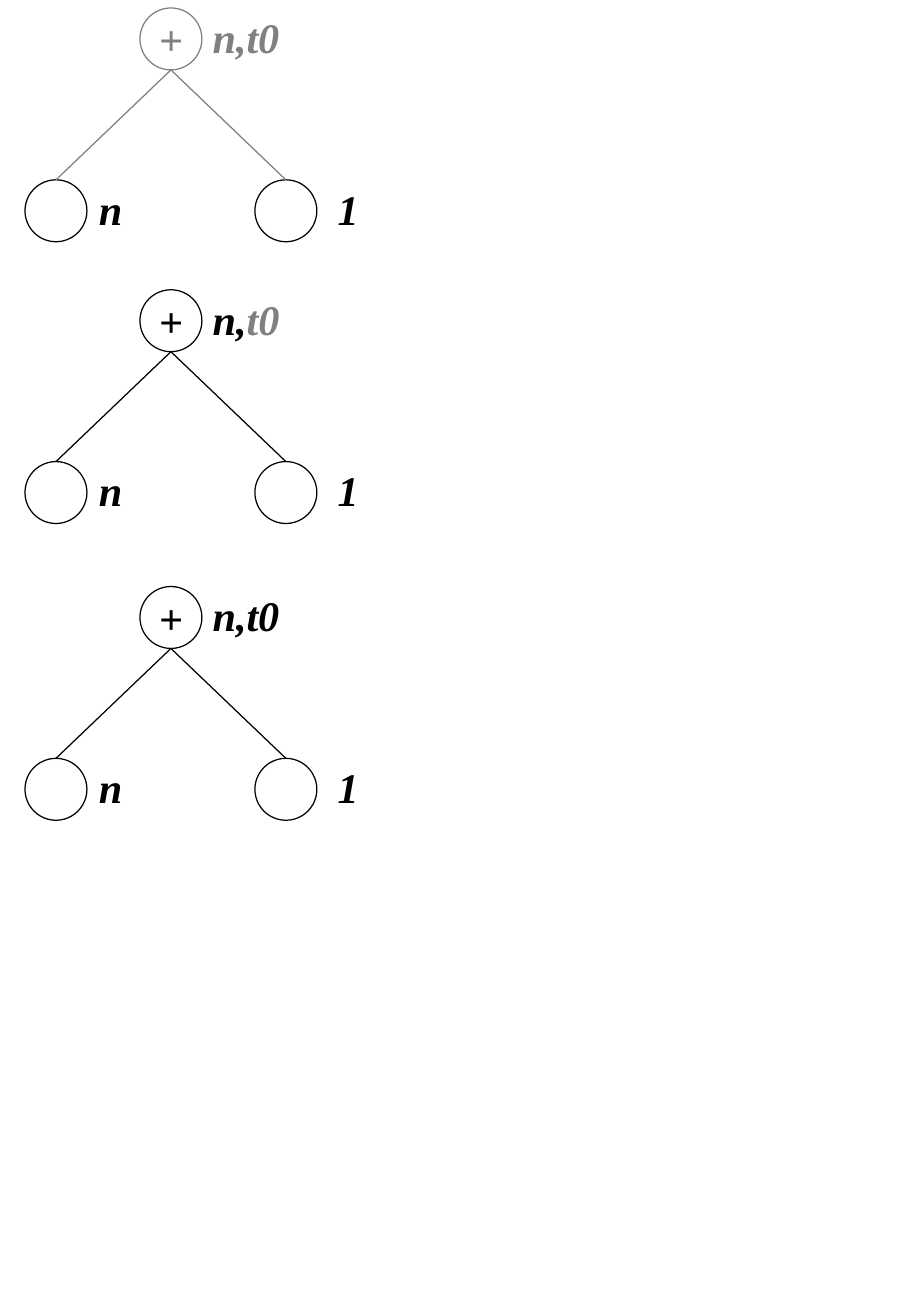
from lxml import etree
from pptx import Presentation, util as u
from pptx.dml.color import RGBColor
from pptx.enum import shapes, text
from pptx.oxml.ns import qn

PX = 7526  # EMU per px
COLORS = {"done": "000000", "pending": "808080"}
NODE = 62
LABEL_HEIGHT = 57
CHILD_DROP = 172
ROOT_LEFT = 140

deck = Presentation()
deck.slide_width, deck.slide_height = u.Inches(7.5), u.Inches(10.84)
page = deck.slides.add_slide(deck.slide_layouts[6])


def add_box(kind, left, top, width, height, spans=(), outline=None, inset=13):
    """Add an unfilled shape; spans holds (wording, state) pairs."""
    box = page.shapes.add_shape(kind, left * PX, top * PX, width * PX, height * PX)
    box.shadow.inherit = False
    box.fill.background()
    if outline:
        box.line.color.rgb = RGBColor.from_string(COLORS[outline])
        box.line.width = u.Pt(0.75)
    else:
        box.line.fill.background()
    frame = box.text_frame
    frame.word_wrap = False
    frame.vertical_anchor = text.MSO_ANCHOR.MIDDLE
    frame.margin_left = frame.margin_right = inset * PX
    frame.margin_top = frame.margin_bottom = 6 * PX
    para = frame.paragraphs[0]
    para.alignment = text.PP_ALIGN.CENTER if outline else text.PP_ALIGN.LEFT
    para.font.name, para.font.size = "Times New Roman", u.Pt(25)
    para.font.bold = para.font.italic = True
    for wording, state in spans:
        span = para.add_run()
        span.text = wording
        span.font.color.rgb = RGBColor.from_string(COLORS[state])


OVAL = shapes.MSO_SHAPE.OVAL
LABEL = shapes.MSO_SHAPE.ROUNDED_RECTANGLE

# Tree stages: top, state of the root and edges, root label
stages = [
    (8, "pending", [("n,t0", "pending")]),
    (290, "done", [("n,", "done"), ("t0", "pending")]),
    (587, "done", [("n,t0", "done")]),
]
# Leaves: node left, label left, label
leaves = [(25, 83, "n"), (255, 322, "1")]

for top, state, root_label in stages:
    leaf_top = top + CHILD_DROP

    # Leaf nodes and their labels
    for node_left, label_left, wording in leaves:
        add_box(LABEL, label_left, leaf_top, 67, LABEL_HEIGHT, [(wording, "done")])
        add_box(OVAL, node_left, leaf_top, NODE, NODE, outline="done")

    # Root node and its label
    add_box(OVAL, ROOT_LEFT, top, NODE, NODE, [("+", state)], outline=state, inset=12)
    add_box(LABEL, 197, top, 119, LABEL_HEIGHT, root_label)

    # Edges from the root's foot to the leaf tops
    for node_left, *_ in leaves:
        edge = page.shapes.add_connector(
            shapes.MSO_CONNECTOR.STRAIGHT,
            (ROOT_LEFT + NODE // 2) * PX, (top + NODE) * PX,
            (node_left + NODE // 2) * PX, leaf_top * PX)
        edge.line.color.rgb = RGBColor.from_string(COLORS[state])
        edge.line.width = u.Pt(0.75)
        etree.SubElement(edge._element.spPr, qn("a:effectLst"))

deck.save("out.pptx")
